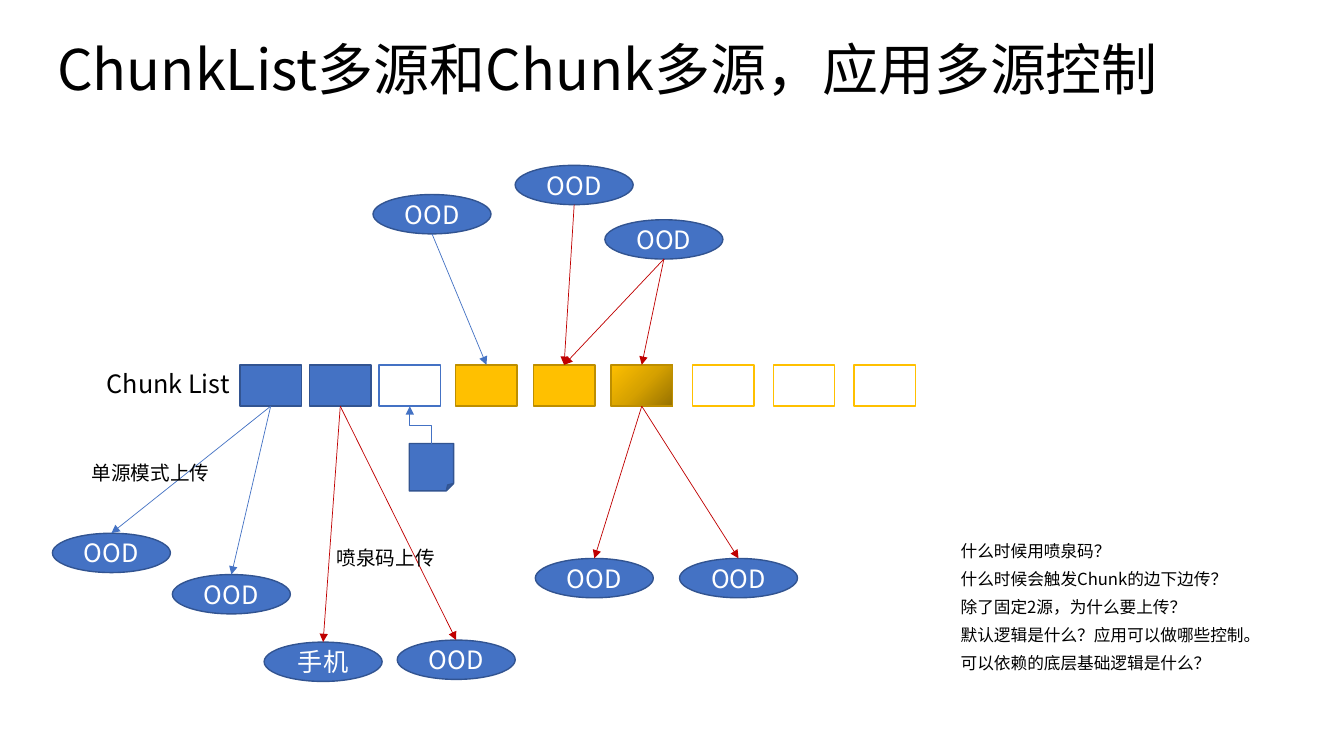
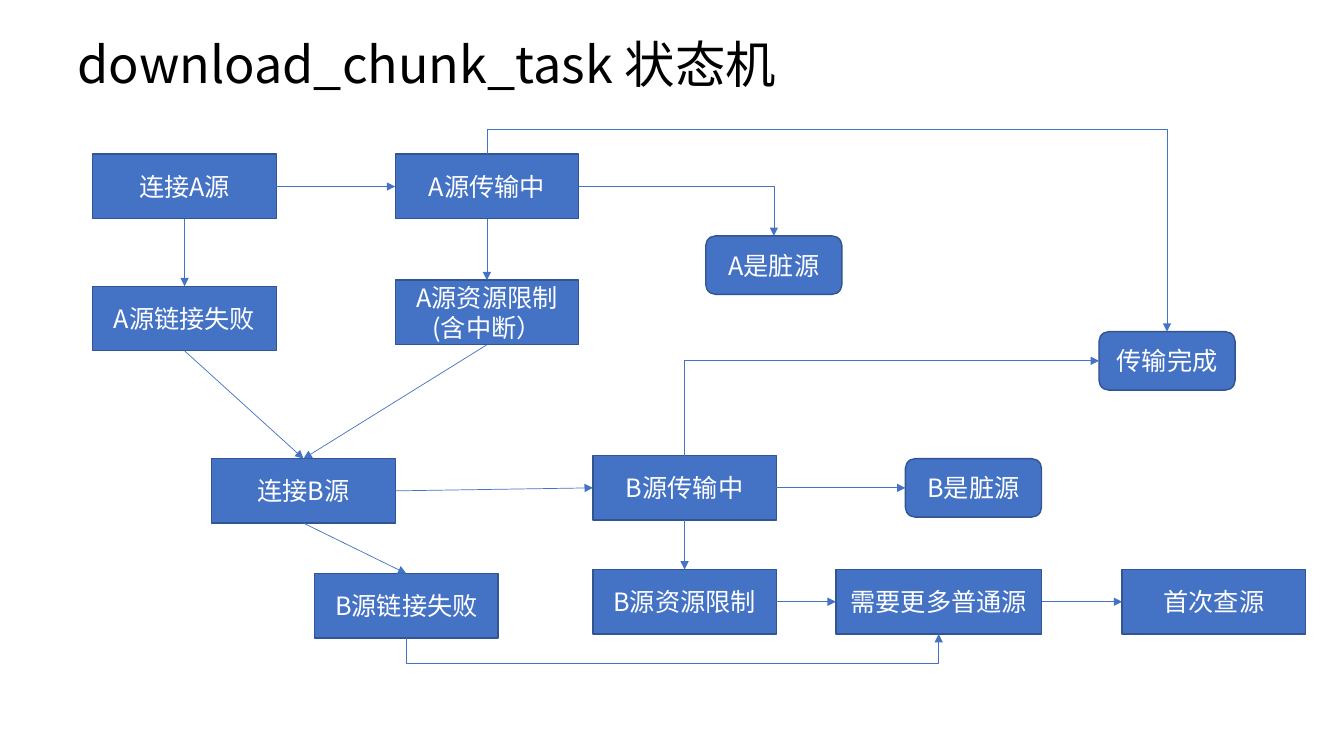
"""Build two slides on multi-source chunk transfer: a source diagram and a state machine."""
import dataclasses

import lxml.etree
import pptx
import pptx.dml.color
import pptx.enum.shapes
import pptx.enum.text
import pptx.oxml.ns
import pptx.util

SHAPE = pptx.enum.shapes.MSO_SHAPE
ANCHOR = pptx.enum.text.MSO_ANCHOR
ALIGN = pptx.enum.text.PP_ALIGN
qn = pptx.oxml.ns.qn
PX = 9144
TOP, LEFT, BOTTOM, RIGHT = range(4)


@dataclasses.dataclass(frozen=True)
class Theme:
    """Colours, font and type sizes."""
    font: str = "Noto Sans CJK SC"
    text: str = "000000"
    white: str = "FFFFFF"
    blue: str = "4472C4"
    blue_edge: str = "325491"
    gold: str = "FFC000"
    gold_mid: str = "D7A200"
    gold_dark: str = "977200"
    gold_edge: str = "BD8E00"
    red: str = "C00000"
    body: float = 18
    label: float = 14
    note: float = 11.9
    edge: float = 1
    arrow: float = 0.5


T = Theme()

SOURCE_TITLE = ("ChunkList多源和Chunk多源，应用多源控制", (47, 31, 1180, 82), 40)
CHUNK_TOP, CHUNK_SIZE = 362, (61, 41)
CHUNK_GROUPS = [
    (238, 69, [(T.blue, T.blue_edge), (T.blue, T.blue_edge), (T.white, T.blue)]),
    (452, 77, [(T.gold, T.gold_edge)] * 3),
    (687, 80, [(T.white, T.gold)] * 3),
]
SHADED_CHUNK = 5
SHADES = [(0, T.gold_dark), (50, T.gold_mid), (100, T.gold)]
NODE_SIZE = (117, 39)
NODES = {
    "single_1": ("OOD", 52, 529),
    "single_2": ("OOD", 171, 570),
    "phone": ("手机", 262, 637),
    "fountain": ("OOD", 394, 635),
    "origin_1": ("OOD", 370, 193),
    "origin_2": ("OOD", 511, 164),
    "origin_3": ("OOD", 600, 218),
    "target_1": ("OOD", 531, 554),
    "target_2": ("OOD", 674, 554),
}
FILE_BOX = (406, 440, 44, 47)
SOURCE_ARROWS = [
    (0, BOTTOM, "single_1", TOP, T.blue, None),
    (0, BOTTOM, "single_2", TOP, T.blue, None),
    (1, BOTTOM, "phone", TOP, T.red, None),
    (1, BOTTOM, "fountain", TOP, T.red, None),
    ("origin_1", BOTTOM, 3, TOP, T.blue, None),
    ("origin_2", BOTTOM, 4, TOP, T.red, None),
    ("origin_3", BOTTOM, 4, TOP, T.red, None),
    ("origin_3", BOTTOM, 5, TOP, T.red, None),
    (5, BOTTOM, "target_1", TOP, T.red, None),
    (5, BOTTOM, "target_2", TOP, T.red, None),
    ("file", TOP, 2, BOTTOM, T.blue, 422),
]
LABELS = [
    ("Chunk List", (96, 361, 147, 40), T.body, True),
    ("单源模式上传", (81, 452, 138, 34), T.label, False),
    ("喷泉码上传", (324, 537, 118, 34), T.label, False),
]
QUESTIONS = [
    "什么时候用喷泉码？",
    "什么时候会触发Chunk的边下边传？",
    "除了固定2源，为什么要上传？",
    "默认逻辑是什么？应用可以做哪些控制。",
    "可以依赖的底层基础逻辑是什么？",
]
QUESTION_BOX = (943, 537, 315, 137)

STATE_TITLE = ("download_chunk_task 状态机", (67, 17, 1150, 99), 36)
STEP, WIDE_STEP = (SHAPE.RECTANGLE, 182, 64), (SHAPE.RECTANGLE, 204, 64)
END = (SHAPE.ROUNDED_RECTANGLE, 135, 58)
STATES = {
    "connect_a": ("连接A源", 92, 153, STEP),
    "transfer_a": ("A源传输中", 392, 153, STEP),
    "limit_a": ("A源资源限制(含中断）", 392, 278, STEP),
    "fail_a": ("A源链接失败", 92, 284, STEP),
    "dirty_a": ("A是脏源", 700, 234, END),
    "done": ("传输完成", 1090, 329, END),
    "connect_b": ("连接B源", 210, 455, STEP),
    "transfer_b": ("B源传输中", 588, 452, STEP),
    "limit_b": ("B源资源限制", 588, 565, STEP),
    "fail_b": ("B源链接失败", 312, 569, STEP),
    "dirty_b": ("B是脏源", 898, 455, END),
    "more": ("需要更多普通源", 829, 565, WIDE_STEP),
    "lookup": ("首次查源", 1113, 565, STEP),
}
STATE_ARROWS = [
    ("connect_a", RIGHT, "transfer_a", LEFT, T.blue, None),
    ("connect_a", BOTTOM, "fail_a", TOP, T.blue, None),
    ("transfer_a", BOTTOM, "limit_a", TOP, T.blue, None),
    ("limit_a", BOTTOM, "connect_b", TOP, T.blue, None),
    ("fail_a", BOTTOM, "connect_b", TOP, T.blue, None),
    ("connect_b", RIGHT, "transfer_b", LEFT, T.blue, None),
    ("connect_b", BOTTOM, "fail_b", TOP, T.blue, None),
    ("transfer_b", BOTTOM, "limit_b", TOP, T.blue, None),
    ("transfer_b", RIGHT, "dirty_b", LEFT, T.blue, None),
    ("limit_b", RIGHT, "more", LEFT, T.blue, None),
    ("more", RIGHT, "lookup", LEFT, T.blue, None),
    ("transfer_a", RIGHT, "dirty_a", TOP, T.blue, "corner"),
    ("transfer_b", TOP, "done", LEFT, T.blue, "corner"),
    ("transfer_a", TOP, "done", TOP, T.blue, 128),
    ("fail_b", BOTTOM, "more", BOTTOM, T.blue, 658),
]


def px(*lengths):
    return [pptx.util.Emu(round(n * PX)) for n in lengths]


def rgb(value):
    return pptx.dml.color.RGBColor.from_string(value)


def style_text(tf, size, color, align=ALIGN.LEFT, spacing=None, before=None):
    for p in tf.paragraphs:
        p.alignment, p.line_spacing = align, spacing
        if before is not None:
            p.space_before = pptx.util.Pt(before)
        for r in p.runs:
            r.font.size, r.font.name = pptx.util.Pt(size), T.font
            r.font.color.rgb = rgb(color)
            ea = lxml.etree.SubElement(r.font._element, qn("a:ea"))
            ea.set("typeface", T.font)


def add_text(slide, text, box, size, wrap=True, anchor=ANCHOR.TOP, spacing=None, before=None):
    tf = slide.shapes.add_textbox(*px(*box)).text_frame
    tf.text, tf.word_wrap, tf.vertical_anchor = text, wrap, anchor
    style_text(tf, size, T.text, spacing=spacing, before=before)


def add_box(slide, kind, box, fill=T.blue, edge=T.blue_edge, text=""):
    sp = slide.shapes.add_shape(kind, *px(*box))
    sp.shadow.inherit = False
    sp.fill.solid()
    sp.fill.fore_color.rgb = rgb(fill)
    sp.line.color.rgb, sp.line.width = rgb(edge), pptx.util.Pt(T.edge)
    if text:
        tf = sp.text_frame
        tf.text, tf.word_wrap, tf.vertical_anchor = text, True, ANCHOR.MIDDLE
        style_text(tf, T.body, T.white, ALIGN.CENTER)
    return sp


def shade_from_corner(sp):
    sp.fill.gradient()
    grad = sp.element.spPr.find(qn("a:gradFill"))
    for child in list(grad):
        grad.remove(child)
    stops = lxml.etree.SubElement(grad, qn("a:gsLst"))
    for pos, color in SHADES:
        gs = lxml.etree.SubElement(stops, qn("a:gs"), pos=str(pos * 1000))
        lxml.etree.SubElement(gs, qn("a:srgbClr"), val=color)
    circle = lxml.etree.SubElement(grad, qn("a:path"), path="circle")
    lxml.etree.SubElement(circle, qn("a:fillToRect"), l="100000", t="100000")


def side_point(sp, side):
    fx, fy = [(0.5, 0), (0, 0.5), (0.5, 1), (1, 0.5)][side]
    return round(sp.left + fx * sp.width), round(sp.top + fy * sp.height)


def bend(c, start, end, vertical, route):
    (x1, y1), (x2, y2) = start, end
    dx, dy = x2 - x1, y2 - y1
    along, across = (dy, -dx) if vertical else (dx, dy)
    c.width, c.height = abs(along), abs(across)
    c.left, c.top = (x1 + x2 - c.width) // 2, (y1 + y2 - c.height) // 2
    xfrm = c.element.spPr.find(qn("a:xfrm"))
    for name, value in [("rot", 5400000 * vertical), ("flipH", along < 0), ("flipV", across < 0)]:
        xfrm.set(name, str(int(value)))
    geom = c.element.spPr.find(qn("a:prstGeom"))
    if route == "corner":
        geom.set("prst", "bentConnector2")
    else:
        ratio = round((route * PX - y1) / along * 100000)
        guides = geom.find(qn("a:avLst"))
        lxml.etree.SubElement(guides, qn("a:gd"), name="adj1", fmla=f"val {ratio}")


def add_arrow(slide, first, side1, last, side2, color, route):
    kinds = pptx.enum.shapes.MSO_CONNECTOR
    start, end = side_point(first, side1), side_point(last, side2)
    c = slide.shapes.add_connector(kinds.ELBOW if route else kinds.STRAIGHT, *start, *end)
    if first.auto_shape_type != SHAPE.OVAL:
        c.begin_connect(first, side1)
    if last.auto_shape_type != SHAPE.OVAL or side2 == TOP:
        c.end_connect(last, side2)
    if route:
        bend(c, start, end, side1 in (TOP, BOTTOM), route)
    c.line.color.rgb, c.line.width = rgb(color), pptx.util.Pt(T.arrow)
    lxml.etree.SubElement(c.line._get_or_add_ln(), qn("a:tailEnd"), type="triangle")
    lxml.etree.SubElement(c.element.spPr, qn("a:effectLst"))


def add_arrows(slide, shapes, arrows):
    for first, side1, last, side2, color, route in arrows:
        add_arrow(slide, shapes[first], side1, shapes[last], side2, color, route)


def add_slide(prs, title):
    slide = prs.slides.add_slide(prs.slide_layouts[6])
    text, box, size = title
    add_text(slide, text, box, size, anchor=ANCHOR.MIDDLE, spacing=0.9)
    return slide


def build_sources(prs):
    slide = add_slide(prs, SOURCE_TITLE)
    chunks = [(left + i * pitch, *colors)
              for left, pitch, group in CHUNK_GROUPS for i, colors in enumerate(group)]
    shapes = {n: add_box(slide, SHAPE.RECTANGLE, (x, CHUNK_TOP, *CHUNK_SIZE), fill, edge)
              for n, (x, fill, edge) in enumerate(chunks)}
    shade_from_corner(shapes[SHADED_CHUNK])
    for name, (text, x, y) in NODES.items():
        shapes[name] = add_box(slide, SHAPE.OVAL, (x, y, *NODE_SIZE), text=text)
    shapes["file"] = add_box(slide, SHAPE.FOLDED_CORNER, FILE_BOX)
    add_arrows(slide, shapes, SOURCE_ARROWS)
    for text, box, size, wrap in LABELS:
        add_text(slide, text, box, size, wrap)
    add_text(slide, "\n".join(QUESTIONS), QUESTION_BOX, T.note, spacing=0.7, before=10)


def build_states(prs):
    slide = add_slide(prs, STATE_TITLE)
    shapes = {name: add_box(slide, kind, (x, y, w, h), text=text)
              for name, (text, x, y, (kind, w, h)) in STATES.items()}
    add_arrows(slide, shapes, STATE_ARROWS)


def main():
    prs = pptx.Presentation()
    prs.slide_width, prs.slide_height = px(1333, 750)
    build_sources(prs)
    build_states(prs)
    prs.save("out.pptx")


if __name__ == "__main__":
    main()
